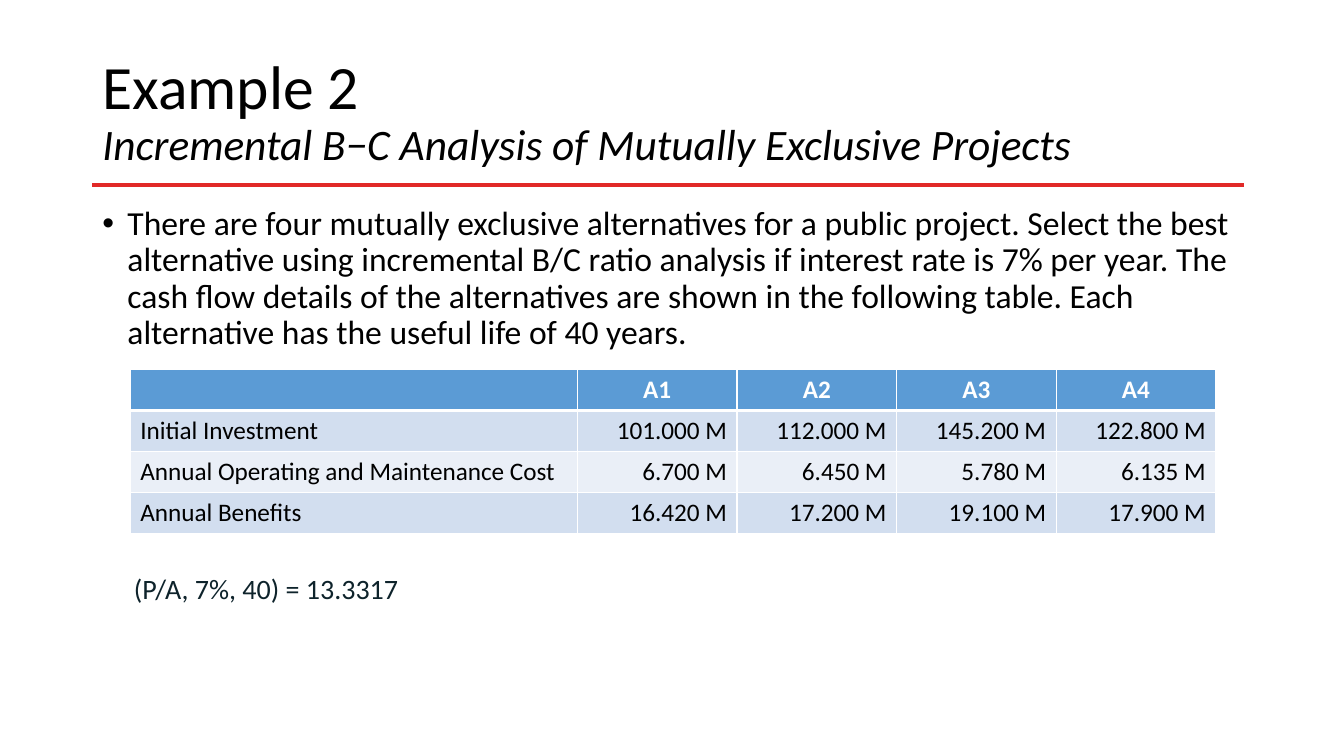
import pptx
import pptx.dml.color
import pptx.enum.shapes
import pptx.enum.text
import pptx.oxml
import pptx.oxml.ns
import pptx.util
from lxml import etree

RGBColor = pptx.dml.color.RGBColor
BLACK = RGBColor(0x00, 0x00, 0x00)
WHITE = RGBColor(0xFF, 0xFF, 0xFF)
RED = RGBColor(0xE1, 0x29, 0x27)
INK = RGBColor(0x0E, 0x23, 0x2B)
HEADER_BLUE = RGBColor(0x5B, 0x9B, 0xD5)
BAND_DARK = RGBColor(0xD2, 0xDE, 0xEF)
BAND_LIGHT = RGBColor(0xEA, 0xEF, 0xF7)
PX = 9525
ALIGN = pptx.enum.text.PP_ALIGN
qn = pptx.oxml.ns.qn


def add_span(para, text, size, color, bold=False, italic=False):
    span = para.add_run()
    span.text = text
    span.font.name = "Calibri"
    span.font.size = pptx.util.Pt(size)
    span.font.color.rgb = color
    span.font.bold = bold
    span.font.italic = italic


def add_border(cell, side, points):
    line = etree.SubElement(cell._tc.get_or_add_tcPr(), qn("a:" + side), w=str(pptx.util.Pt(points)))
    fill = etree.SubElement(line, qn("a:solidFill"))
    etree.SubElement(fill, qn("a:srgbClr"), val=str(WHITE))


deck = pptx.Presentation()
deck.slide_width = 1280 * PX
deck.slide_height = 720 * PX
page = deck.slides.add_slide(deck.slide_layouts[5])

rule = page.shapes.add_connector(
    pptx.enum.shapes.MSO_CONNECTOR.STRAIGHT, 88 * PX, 176 * PX, 1185 * PX, 176 * PX)
rule.line.color.rgb = RED
rule.line.width = pptx.util.Pt(3)
etree.SubElement(rule._element.spPr, qn("a:effectLst"))

title = page.shapes.title
title.left, title.top, title.width, title.height = 88 * PX, 38 * PX, 1104 * PX, 139 * PX
title.text_frame.word_wrap = True
title.text_frame.auto_size = pptx.enum.text.MSO_AUTO_SIZE.NONE
title.text_frame.vertical_anchor = pptx.enum.text.MSO_ANCHOR.MIDDLE
para = title.text_frame.paragraphs[0]
para.alignment = ALIGN.LEFT
para.line_spacing = 0.9
add_span(para, "Example 2", 44, BLACK)
para.add_line_break()
add_span(para, "Incremental B−C Analysis of Mutually Exclusive Projects", 31, BLACK, italic=True)

problem = page.shapes.add_textbox(88 * PX, 192 * PX, 1104 * PX, 457 * PX)
problem.text_frame.word_wrap = True
para = problem.text_frame.paragraphs[0]
para.line_spacing = 0.9
properties = para._p.get_or_add_pPr()
properties.set("marL", str(24 * PX))
properties.set("indent", str(-24 * PX))
etree.SubElement(properties, qn("a:buFont"), typeface="Arial")
etree.SubElement(properties, qn("a:buChar"), char="•")
add_span(para, "There are four mutually exclusive alternatives for a public project. "
         "Select the best alternative using incremental B/C ratio analysis if interest rate "
         "is 7% per year. The cash flow details of the alternatives are shown in the following "
         "table. Each alternative has the useful life of 40 years.", 24, BLACK)

factor = page.shapes.add_textbox(118 * PX, 540 * PX, 315 * PX, 42 * PX)
factor.text_frame.word_wrap = True
add_span(factor.text_frame.paragraphs[0], "(P/A, 7%, 40) = 13.3317", 20, INK)

cash_flows = [
    ["", "A1", "A2", "A3", "A4"],
    ["Initial Investment", "101.000 M", "112.000 M", "145.200 M", "122.800 M"],
    ["Annual Operating and Maintenance Cost", "6.700 M", "6.450 M", "5.780 M", "6.135 M"],
    ["Annual Benefits", "16.420 M", "17.200 M", "19.100 M", "17.900 M"],
]
column_widths = [426] + [152] * 4
row_height = 39
table = page.shapes.add_table(
    len(cash_flows), len(column_widths), 124 * PX, 352 * PX,
    sum(column_widths) * PX, row_height * len(cash_flows) * PX).table
for column, width in zip(table.columns, column_widths):
    column.width = width * PX

for row_index, values in enumerate(cash_flows):
    table.rows[row_index].height = row_height * PX
    header = row_index == 0
    for column_index, value in enumerate(values):
        cell = table.cell(row_index, column_index)
        for side in ("lnL", "lnR", "lnT", "lnB"):
            thick = (header and side == "lnB") or (row_index == 1 and side == "lnT")
            add_border(cell, side, 3 if thick else 1)
        cell.fill.solid()
        cell.fill.fore_color.rgb = (
            HEADER_BLUE if header else BAND_DARK if row_index % 2 else BAND_LIGHT)
        para = cell.text_frame.paragraphs[0]
        if header:
            para.alignment = ALIGN.CENTER
        else:
            para.alignment = ALIGN.RIGHT if column_index else ALIGN.LEFT
        if value:
            add_span(para, value, 18, WHITE if header else BLACK, bold=header)

deck.save("out.pptx")
